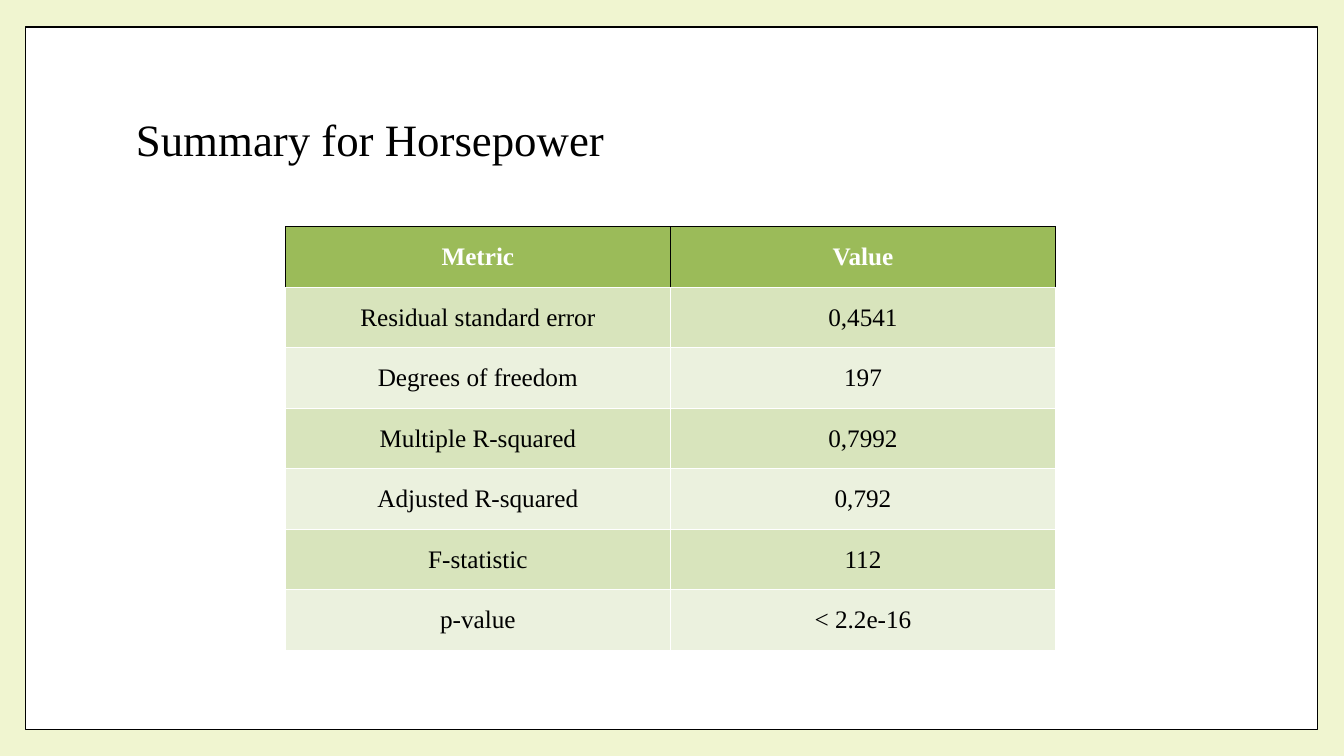
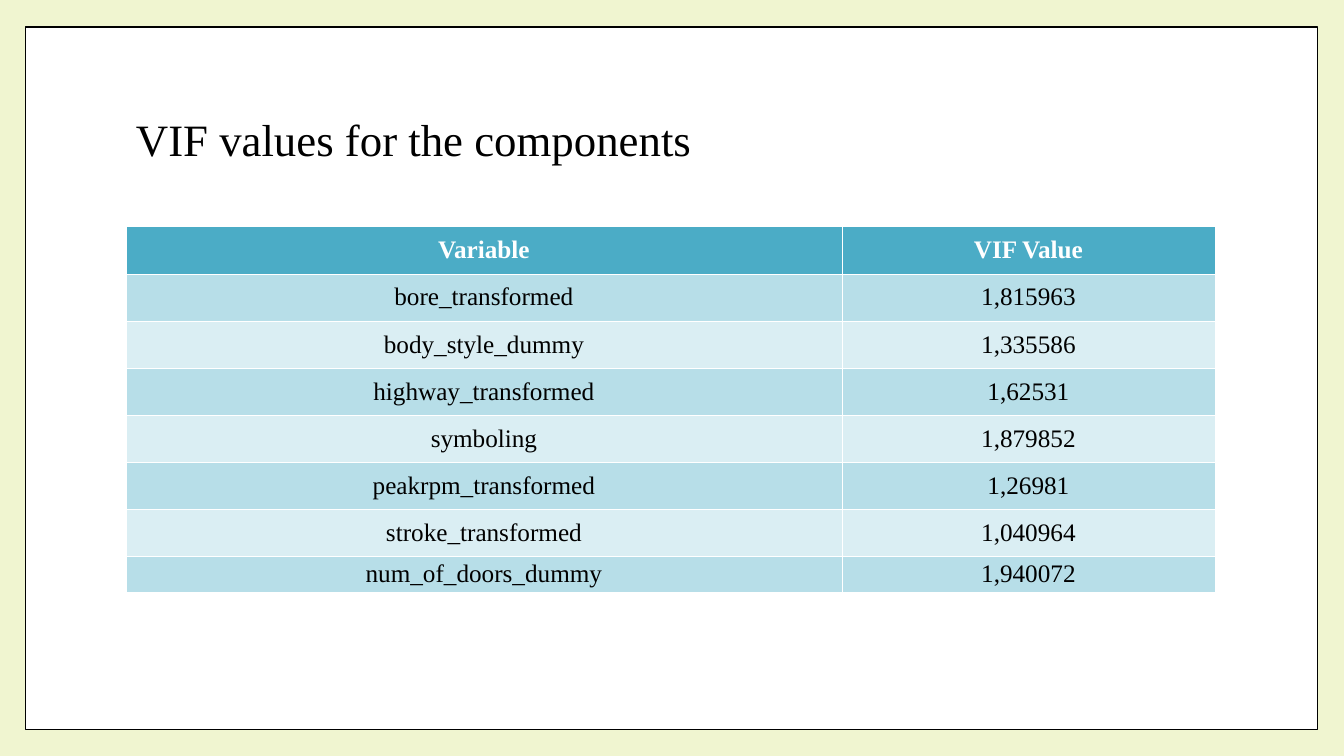
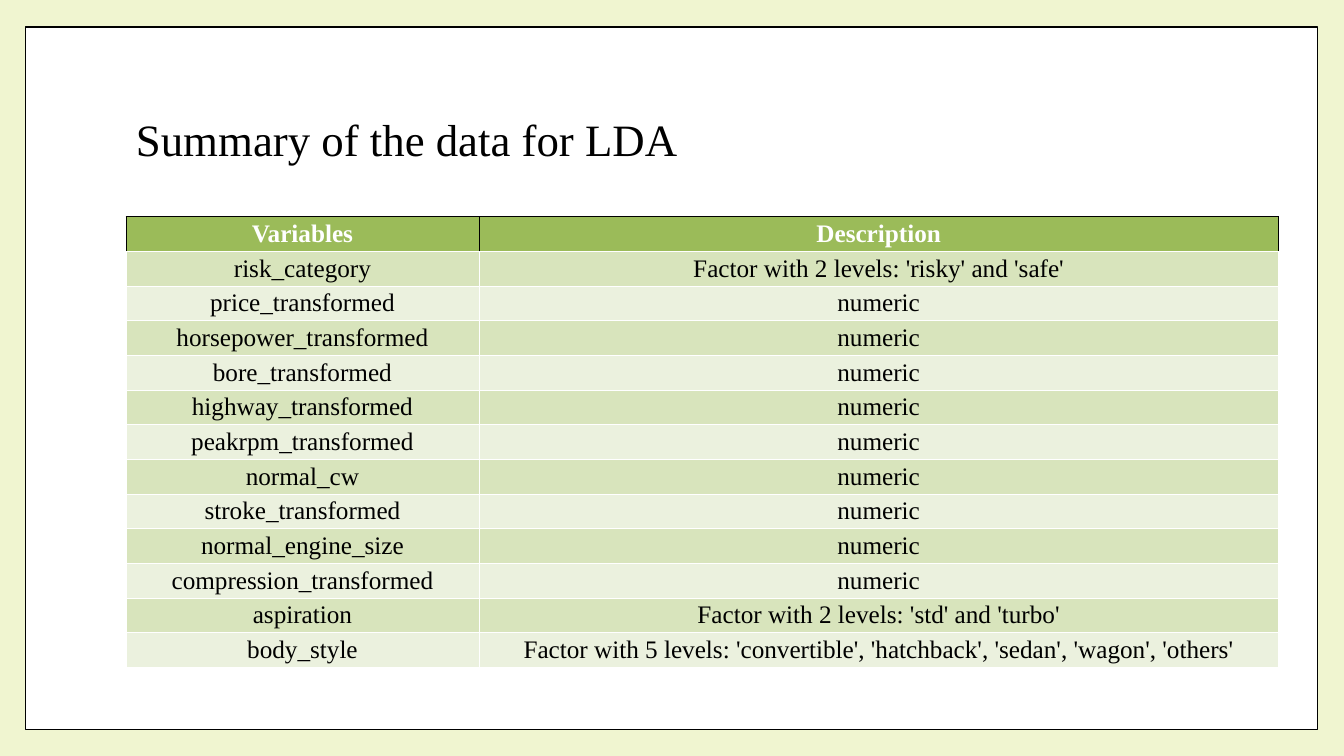
"""Build three slides that each show a titled regression or data summary table."""
import pptx
import pptx.dml.color
import pptx.enum.shapes
import pptx.enum.text
import pptx.oxml.ns
import pptx.util
from lxml import etree

Inches = pptx.util.Inches
Pt = pptx.util.Pt
MIDDLE = pptx.enum.text.MSO_ANCHOR.MIDDLE

FONT = "Times New Roman"
BLACK, WHITE, PAGE = "000000", "FFFFFF", "F0F5D0"
GREEN = {"header": "9BBB59", "bands": ("D8E4BC", "EBF1DE"), "header_edge": BLACK}
TEAL = {"header": "4BACC6", "bands": ("B7DEE8", "DAEEF3"), "header_edge": WHITE}


def rgb(hex_colour):
    return pptx.dml.color.RGBColor.from_string(hex_colour)


def add_border(cell, side, hex_colour):
    properties = cell._tc.get_or_add_tcPr()
    edge = etree.SubElement(properties, pptx.oxml.ns.qn(f"a:ln{side}"), w=str(Pt(0.5)))
    fill = etree.SubElement(edge, pptx.oxml.ns.qn("a:solidFill"))
    etree.SubElement(fill, pptx.oxml.ns.qn("a:srgbClr"), val=hex_colour)


pages = [
    {
        "title": "Summary for Horsepower",
        "palette": GREEN,
        "left": 2.83,
        "top": 2.25,
        "widths": [3.82, 3.82],
        "heights": [0.6] * 7,
        "rows": [
            ("Metric", "Value"),
            ("Residual standard error", "0,4541"),
            ("Degrees of freedom", "197"),
            ("Multiple R-squared", "0,7992"),
            ("Adjusted R-squared", "0,792"),
            ("F-statistic", "112"),
            ("p-value", "< 2.2e-16"),
        ],
    },
    {
        "title": "VIF values for the components",
        "palette": TEAL,
        "left": 1.25,
        "top": 2.25,
        "widths": [7.1, 3.7],
        "heights": [3.27 / 7] * 7 + [0.36],
        "rows": [
            ("Variable", "VIF Value"),
            ("bore_transformed", "1,815963"),
            ("body_style_dummy", "1,335586"),
            ("highway_transformed", "1,62531"),
            ("symboling", "1,879852"),
            ("peakrpm_transformed", "1,26981"),
            ("stroke_transformed", "1,040964"),
            ("num_of_doors_dummy", "1,940072"),
        ],
    },
    {
        "title": "Summary of the data for LDA",
        "palette": GREEN,
        "left": 1.25,
        "top": 2.15,
        "widths": [3.5, 7.93],
        "heights": [4.47 / 13] * 13,
        "rows": [
            ("Variables", "Description"),
            ("risk_category", "Factor with 2 levels: 'risky' and 'safe'"),
            ("price_transformed", "numeric"),
            ("horsepower_transformed", "numeric"),
            ("bore_transformed", "numeric"),
            ("highway_transformed", "numeric"),
            ("peakrpm_transformed", "numeric"),
            ("normal_cw", "numeric"),
            ("stroke_transformed", "numeric"),
            ("normal_engine_size", "numeric"),
            ("compression_transformed", "numeric"),
            ("aspiration", "Factor with 2 levels: 'std' and 'turbo'"),
            ("body_style", "Factor with 5 levels: 'convertible', 'hatchback', 'sedan', 'wagon', 'others'"),
        ],
    },
]

deck = pptx.Presentation()
deck.slide_width = Inches(13.33)
deck.slide_height = Inches(7.5)

for page in pages:
    slide = deck.slides.add_slide(deck.slide_layouts[6])
    slide.background.fill.solid()
    slide.background.fill.fore_color.rgb = rgb(PAGE)

    panel = slide.shapes.add_shape(
        pptx.enum.shapes.MSO_SHAPE.RECTANGLE, Inches(0.25), Inches(0.27), Inches(12.82), Inches(6.97)
    )
    panel.shadow.inherit = False
    panel.fill.solid()
    panel.fill.fore_color.rgb = rgb(WHITE)
    panel.line.color.rgb = rgb(BLACK)
    panel.line.width = Pt(1)

    title = slide.shapes.add_textbox(Inches(1.25), Inches(0.67), Inches(10.8), Inches(1.48)).text_frame
    title.word_wrap = True
    title.vertical_anchor = MIDDLE
    heading = title.paragraphs[0]
    heading.text = page["title"]
    heading.line_spacing = 0.9
    heading.font.name = FONT
    heading.font.size = Pt(32)
    heading.font.color.rgb = rgb(BLACK)

    rows, widths, heights, palette = page["rows"], page["widths"], page["heights"], page["palette"]
    summary = slide.shapes.add_table(
        len(rows), len(widths), Inches(page["left"]), Inches(page["top"]),
        Inches(sum(widths)), Inches(sum(heights)),
    ).table
    summary.horz_banding = False
    for column, width in zip(summary.columns, widths):
        column.width = Inches(width)

    for row_index, (values, height) in enumerate(zip(rows, heights)):
        summary.rows[row_index].height = Inches(height)
        is_header = row_index == 0
        band = palette["header"] if is_header else palette["bands"][(row_index - 1) % 2]
        edge = palette["header_edge"] if is_header else WHITE
        for column_index, value in enumerate(values):
            cell = summary.cell(row_index, column_index)
            for side in "LRT":
                add_border(cell, side, edge)
            add_border(cell, "B", WHITE)
            cell.fill.solid()
            cell.fill.fore_color.rgb = rgb(band)
            cell.margin_left = cell.margin_right = cell.margin_top = cell.margin_bottom = 0
            cell.vertical_anchor = MIDDLE
            entry = cell.text_frame.paragraphs[0]
            entry.text = value
            entry.alignment = pptx.enum.text.PP_ALIGN.CENTER
            entry.font.name = FONT
            entry.font.size = Pt(18)
            entry.font.bold = is_header
            entry.font.color.rgb = rgb(WHITE if is_header else BLACK)

deck.save("out.pptx")
